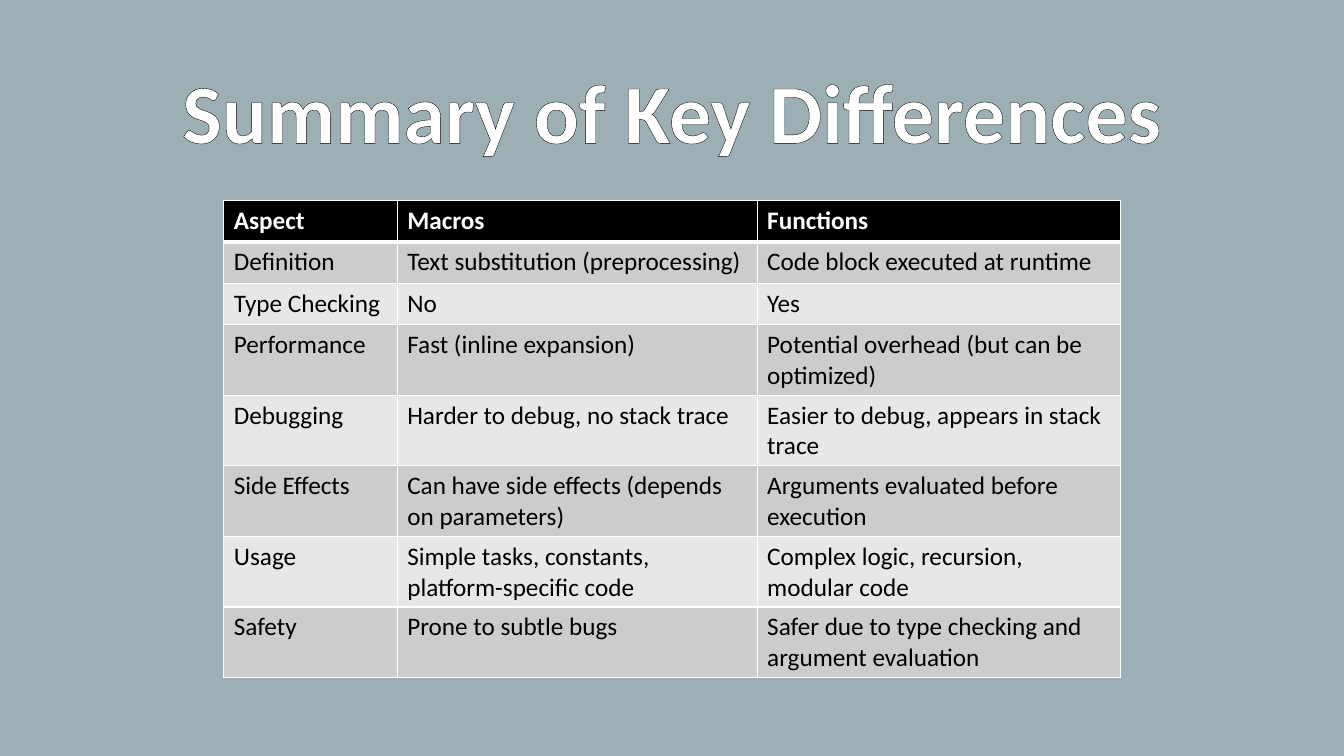
from dataclasses import dataclass

from lxml.etree import SubElement
from pptx import Presentation
from pptx.dml.color import RGBColor
from pptx.enum.text import MSO_AUTO_SIZE, PP_ALIGN
from pptx.oxml import parse_xml
from pptx.oxml.ns import nsdecls, qn
from pptx.util import Inches, Pt


@dataclass(frozen=True)
class Theme:
    font: str = "Calibri"
    background: str = "9BAFB5"
    light: str = "FFFFFF"
    dark: str = "000000"
    bands: tuple = ("CCCCCC", "E7E7E7")
    title_size: int = 60
    table_size: int = 18
    outline: float = 0.75
    border: float = 1
    header_rule: float = 3


THEME = Theme()

COLUMN_WIDTHS = (1.72, 3.57, 3.6)
ROW_HEIGHT = 0.41

COMPARISON = (
    ("Aspect", "Macros", "Functions"),
    ("Definition", "Text substitution (preprocessing)", "Code block executed at runtime"),
    ("Type Checking", "No", "Yes"),
    ("Performance", "Fast (inline expansion)", "Potential overhead (but can be optimized)"),
    ("Debugging", "Harder to debug, no stack trace", "Easier to debug, appears in stack trace"),
    ("Side Effects", "Can have side effects (depends on parameters)",
     "Arguments evaluated before execution"),
    ("Usage", "Simple tasks, constants, platform-specific code",
     "Complex logic, recursion, modular code"),
    ("Safety", "Prone to subtle bugs", "Safer due to type checking and argument evaluation"),
)


def format_run(run, size, color, bold):
    run.font.name = THEME.font
    run.font.size = Pt(size)
    run.font.bold = bold
    run.font.color.rgb = RGBColor.from_string(color)


def outline_run(run, color, width):
    outline = parse_xml(
        f'<a:ln {nsdecls("a")} w="{Pt(width)}"><a:solidFill>'
        f'<a:srgbClr val="{color}"/></a:solidFill></a:ln>'
    )
    run.font._element.insert(0, outline)


def add_title(slide, wording):
    title = slide.shapes.add_textbox(Inches(0.96), Inches(0.54), Inches(11.41), Inches(1.11))
    frame = title.text_frame
    frame.text = wording
    frame.word_wrap = False
    frame.auto_size = MSO_AUTO_SIZE.SHAPE_TO_FIT_TEXT
    heading = frame.paragraphs[0]
    heading.alignment = PP_ALIGN.CENTER
    format_run(heading.runs[0], THEME.title_size, THEME.light, True)
    outline_run(heading.runs[0], THEME.dark, THEME.outline)


def set_borders(cell, top, bottom):
    properties = cell._tc.get_or_add_tcPr()
    widths = {"a:lnL": THEME.border, "a:lnR": THEME.border, "a:lnT": top, "a:lnB": bottom}
    for side, width in widths.items():
        line = SubElement(properties, qn(side), w=str(Pt(width)))
        fill = SubElement(line, qn("a:solidFill"))
        SubElement(fill, qn("a:srgbClr"), val=THEME.light)


def style_cell(cell, row_index):
    is_header = row_index == 0
    # Borders come before the fill in the cell properties
    set_borders(
        cell,
        top=THEME.header_rule if row_index == 1 else THEME.border,
        bottom=THEME.header_rule if is_header else THEME.border,
    )
    background = THEME.dark if is_header else THEME.bands[(row_index - 1) % 2]
    cell.fill.solid()
    cell.fill.fore_color.rgb = RGBColor.from_string(background)
    text_color = THEME.light if is_header else THEME.dark
    format_run(cell.text_frame.paragraphs[0].runs[0], THEME.table_size, text_color, is_header)


def add_comparison(slide, rows):
    table = slide.shapes.add_table(
        len(rows), len(COLUMN_WIDTHS), Inches(2.22), Inches(1.99),
        Inches(sum(COLUMN_WIDTHS)), Inches(ROW_HEIGHT * len(rows)),
    ).table
    for column, width in zip(table.columns, COLUMN_WIDTHS):
        column.width = Inches(width)
    for row_index, wordings in enumerate(rows):
        for cell, wording in zip(table.rows[row_index].cells, wordings):
            cell.text_frame.text = wording
            style_cell(cell, row_index)


def main():
    presentation = Presentation()
    presentation.slide_width = Inches(13.33)
    presentation.slide_height = Inches(7.5)
    slide = presentation.slides.add_slide(presentation.slide_layouts[6])

    # Background
    slide.background.fill.solid()
    slide.background.fill.fore_color.rgb = RGBColor.from_string(THEME.background)

    # Title and table
    add_title(slide, "Summary of Key Differences")
    add_comparison(slide, COMPARISON)

    presentation.save("out.pptx")


if __name__ == "__main__":
    main()
